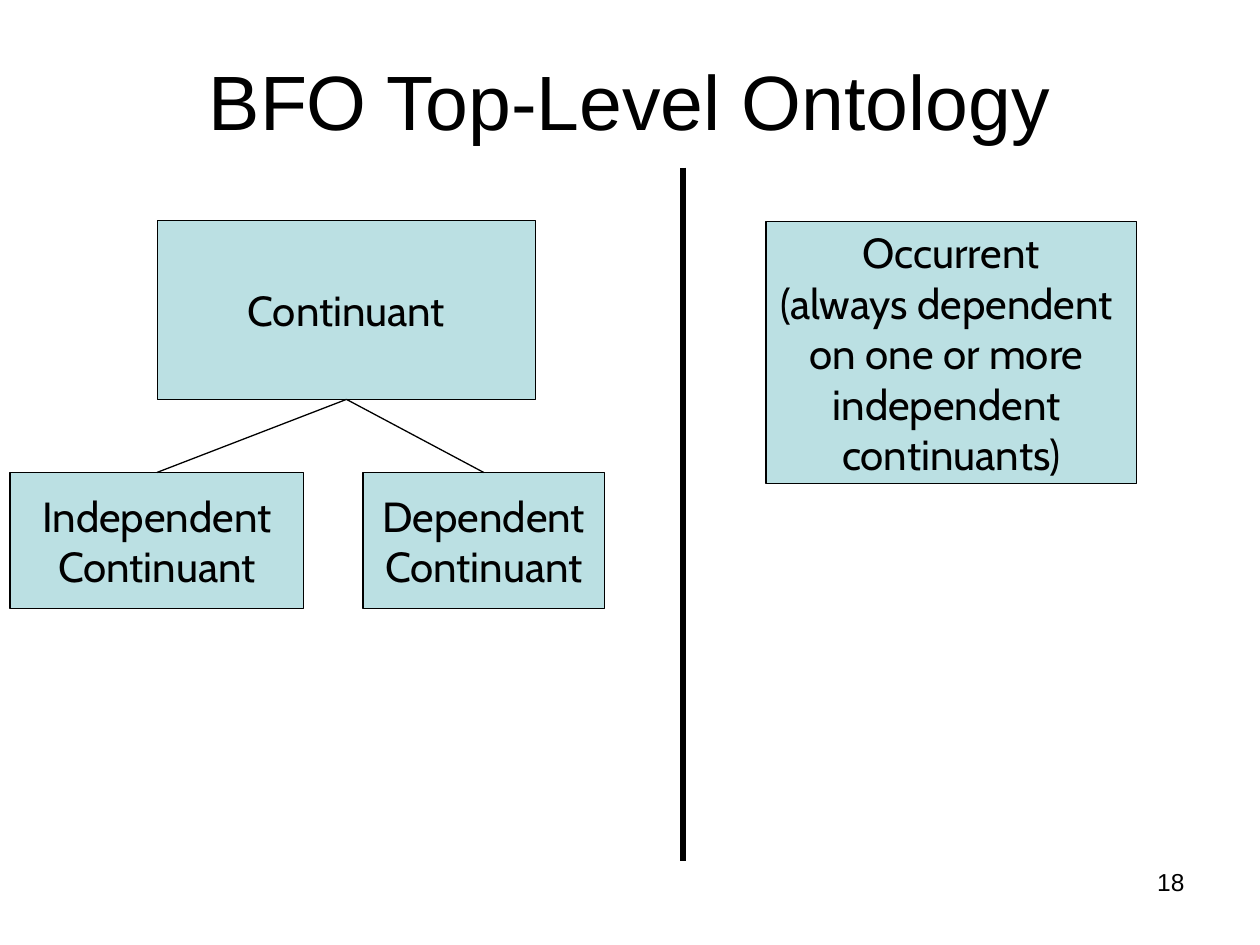
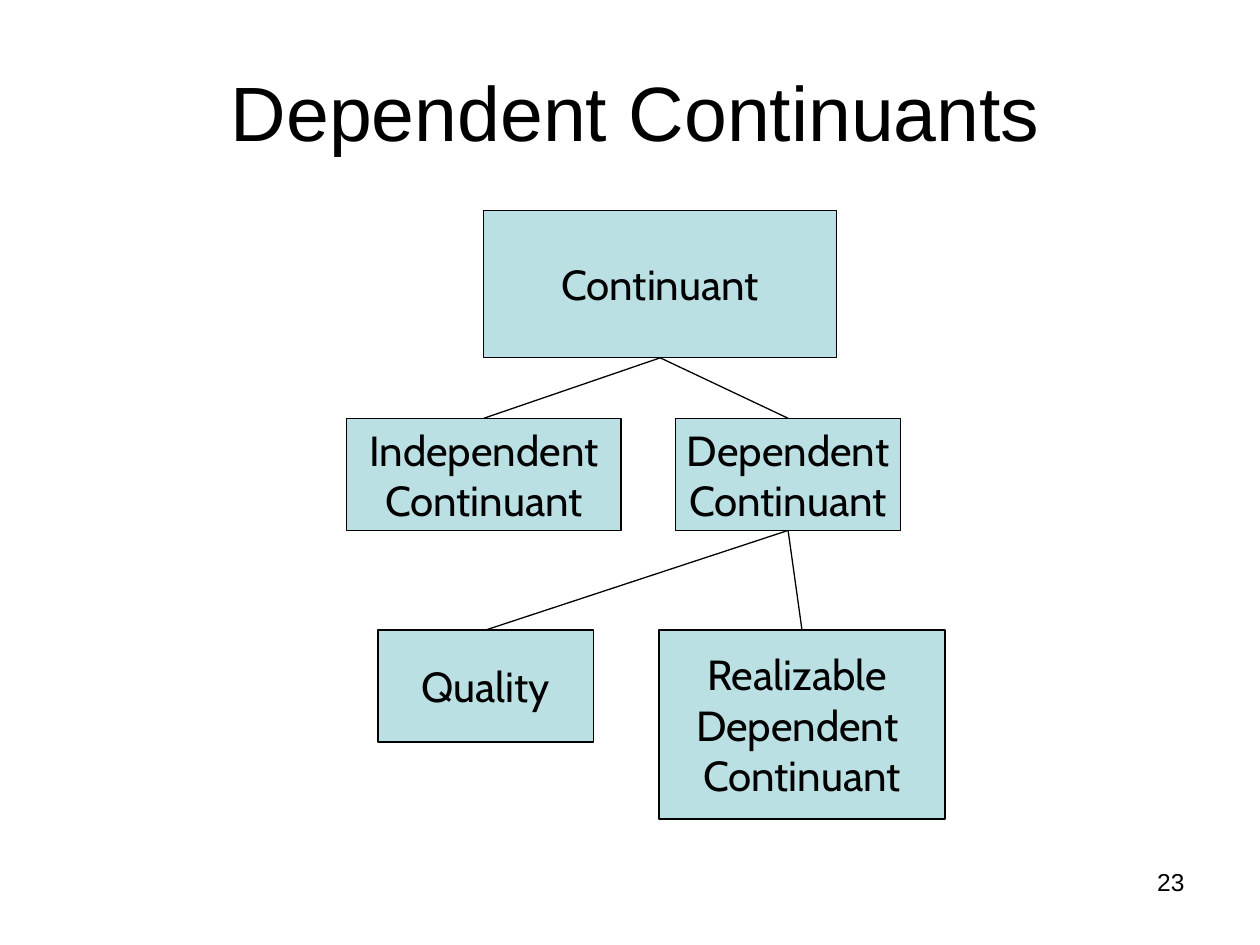
import dataclasses

import pptx
import pptx.dml.color
import pptx.enum.shapes
import pptx.enum.text
import pptx.oxml.ns
import pptx.util
from lxml import etree

Inches = pptx.util.Inches
Pt = pptx.util.Pt
ALIGN = pptx.enum.text.PP_ALIGN
ANCHOR = pptx.enum.text.MSO_ANCHOR
BOTTOM_SITE, TOP_SITE = 2, 0


@dataclasses.dataclass(frozen=True)
class Theme:
    ink: str = "000000"
    box_fill: str = "BBE0E3"
    title_font: str = "Arial"
    box_font: str = "Cabin"
    title_size: float = 44
    box_size: float = 24
    number_size: float = 14
    thin: float = 0.75
    thick: float = 3


@dataclasses.dataclass(frozen=True)
class Node:
    text: str
    box: tuple
    children: tuple = ()


THEME = Theme()
NUMBER_BOX = (7.17, 6.83, 2.33, 0.52)


def rgb(value):
    return pptx.dml.color.RGBColor.from_string(value)


def set_attributes(target, values):
    for name, value in values.items():
        setattr(target, name, value)


def set_line(line, width):
    line.color.rgb = rgb(THEME.ink)
    line.width = Pt(width)


def write_text(sp, text, font, size, align, anchor, wrap=True):
    tf = sp.text_frame
    tf.text = text
    set_attributes(tf, {
        "auto_size": pptx.enum.text.MSO_AUTO_SIZE.NONE,
        "word_wrap": wrap,
        "vertical_anchor": anchor,
        "margin_left": Inches(0.1),
        "margin_right": Inches(0.1),
        "margin_top": Inches(0.05),
        "margin_bottom": Inches(0.05),
    })
    for p in tf.paragraphs:
        p.alignment = align
        set_attributes(p.font, {"name": font, "size": Pt(size)})
        p.font.color.rgb = rgb(THEME.ink)


def add_line(s, start, end, width):
    ends = [Inches(v) for v in (*start, *end)]
    line = s.shapes.add_connector(pptx.enum.shapes.MSO_CONNECTOR.STRAIGHT, *ends)
    set_line(line.line, width)
    etree.SubElement(line._element.spPr, pptx.oxml.ns.qn("a:effectLst"))
    return line


def add_box(s, region, node):
    left, top, width, height = node.box
    sp = s.shapes.add_shape(
        pptx.enum.shapes.MSO_SHAPE.RECTANGLE,
        Inches(region[0] + left), Inches(region[1] + top),
        Inches(width), Inches(height))
    sp.shadow.inherit = False
    sp.fill.solid()
    sp.fill.fore_color.rgb = rgb(THEME.box_fill)
    set_line(sp.line, THEME.thin)
    write_text(sp, node.text, THEME.box_font, THEME.box_size,
               ALIGN.CENTER, ANCHOR.MIDDLE, wrap=False)
    return sp


def add_tree(s, region, node):
    parent = add_box(s, region, node)
    for child in node.children:
        sp = add_tree(s, region, child)
        branch = add_line(s, (0, 0), (1, 1), THEME.thin)
        branch.begin_connect(parent, BOTTOM_SITE)
        branch.end_connect(sp, TOP_SITE)
    return parent


def add_page(prs, title, title_box, number):
    s = prs.slides.add_slide(prs.slide_layouts[5])
    sp = s.shapes.title
    sides = ("left", "top", "width", "height")
    set_attributes(sp, dict(zip(sides, map(Inches, title_box))))
    write_text(sp, title, THEME.title_font, THEME.title_size,
               ALIGN.CENTER, ANCHOR.MIDDLE)
    sp = s.shapes.add_textbox(*map(Inches, NUMBER_BOX))
    write_text(sp, str(number), THEME.title_font, THEME.number_size,
               ALIGN.RIGHT, ANCHOR.TOP)
    return s


def continuant_tree(root, independent, dependent, kinds=()):
    return Node("Continuant", root, (
        Node("Independent\nContinuant", independent),
        Node("Dependent\nContinuant", dependent, kinds)))


def top_level_slide(prs):
    s = add_page(prs, "BFO Top-Level Ontology", (0, 0.42, 10, 0.75), 18)
    add_tree(s, (0.08, 1.75), continuant_tree(
        (1.17, 0, 3, 1.42), (0, 2, 2.33, 1.08), (2.8, 2, 1.92, 1.08)))
    add_tree(s, (6.08, 1.76), Node(
        "Occurrent\n(always dependent \non one or more \nindependent \ncontinuants)",
        (0, 0, 2.94, 2.08)))
    add_line(s, (5.42, 1.33), (5.42, 6.83), THEME.thick)


def dependent_slide(prs):
    s = add_page(prs, "Dependent Continuants", (0.42, 0.25, 9.25, 1.25), 23)
    kinds = (
        Node("Quality", (0.25, 3.33, 1.71, 0.89)),
        Node("Realizable \nDependent \nContinuant", (2.48, 3.33, 2.27, 1.5)))
    add_tree(s, (2.75, 1.67), continuant_tree(
        (1.09, 0, 2.8, 1.17), (0, 1.65, 2.18, 0.89),
        (2.61, 1.65, 1.79, 0.89), kinds))


def main():
    prs = pptx.Presentation()
    prs.slide_width, prs.slide_height = Inches(10), Inches(7.5)
    top_level_slide(prs)
    dependent_slide(prs)
    prs.save("out.pptx")


if __name__ == "__main__":
    main()
